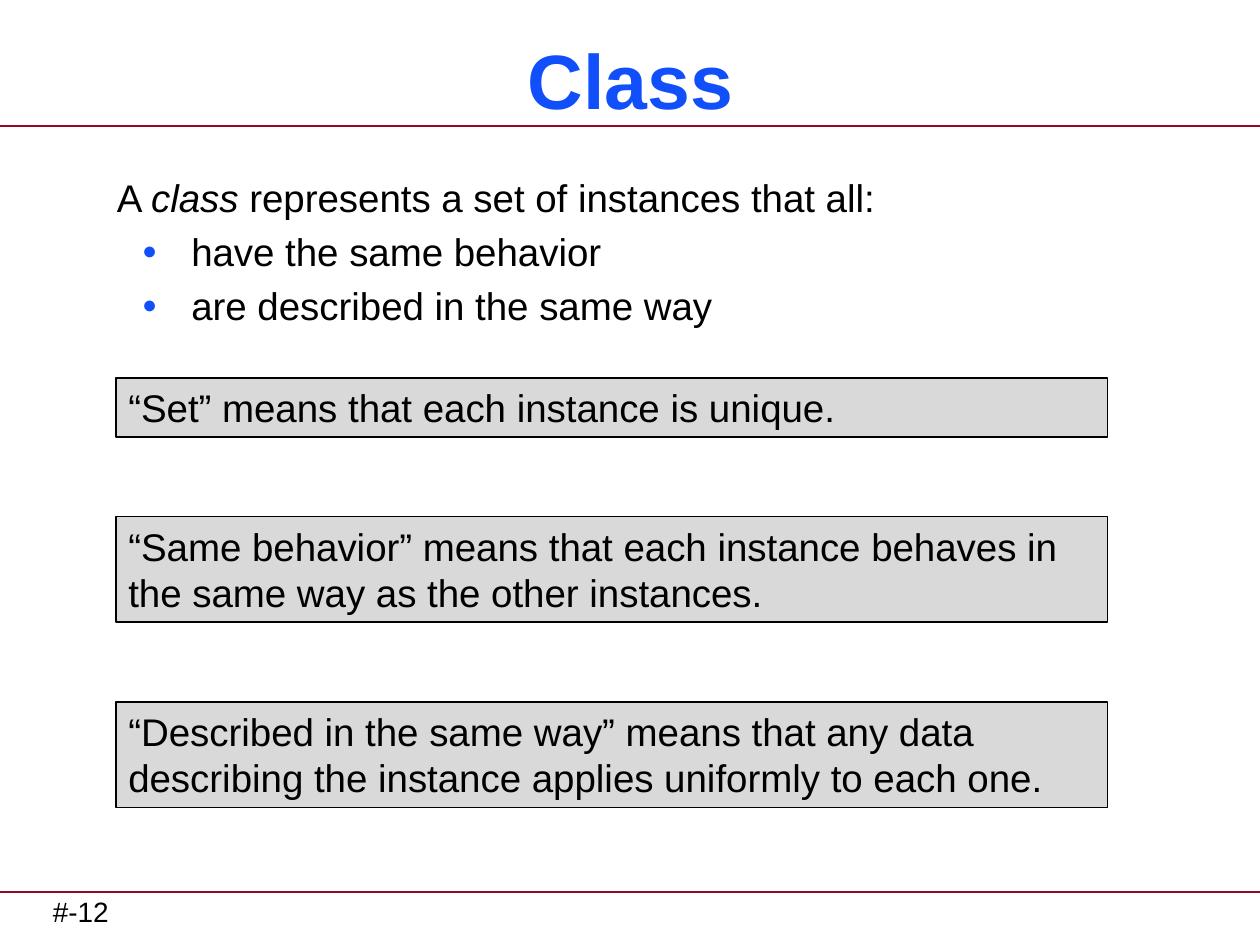
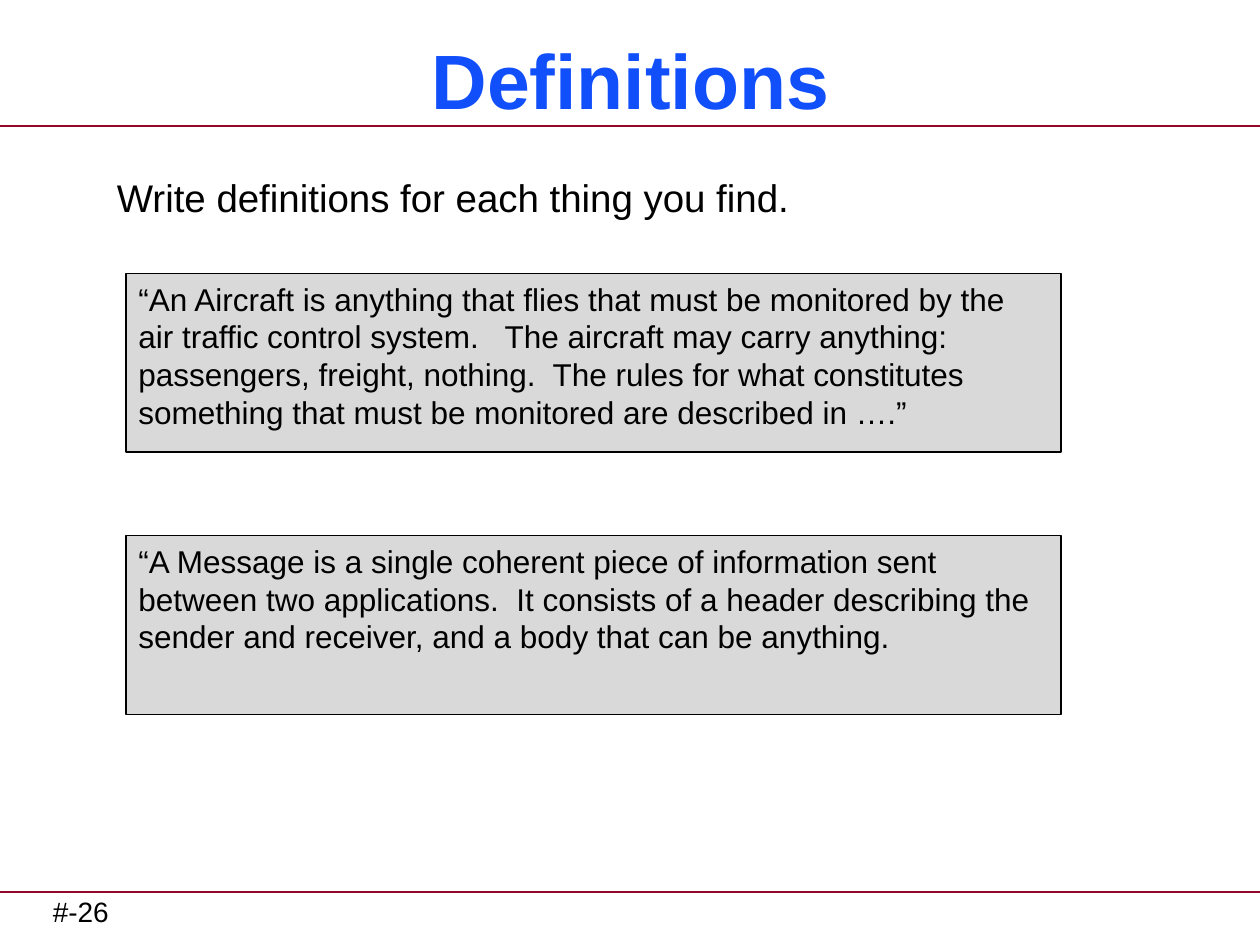
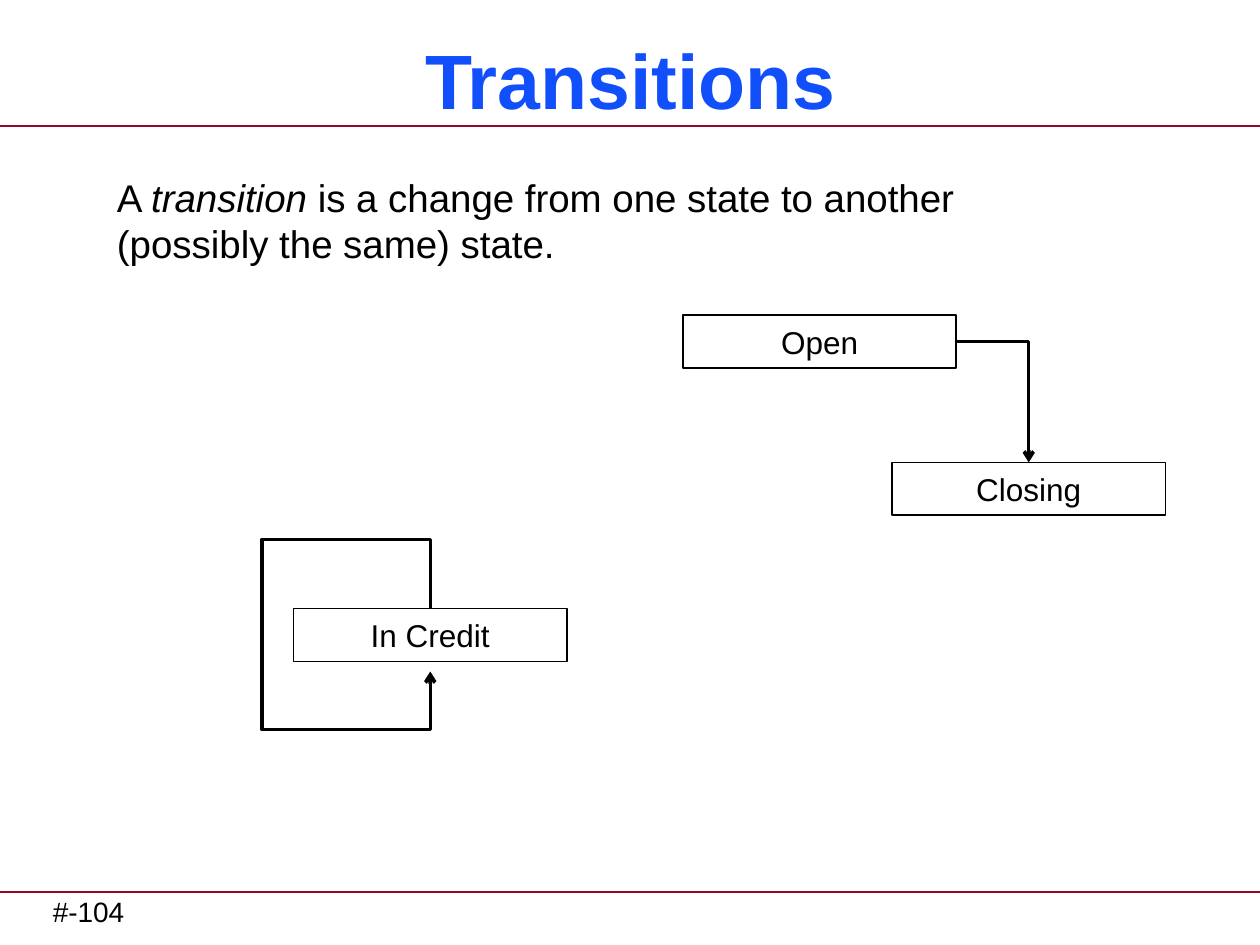
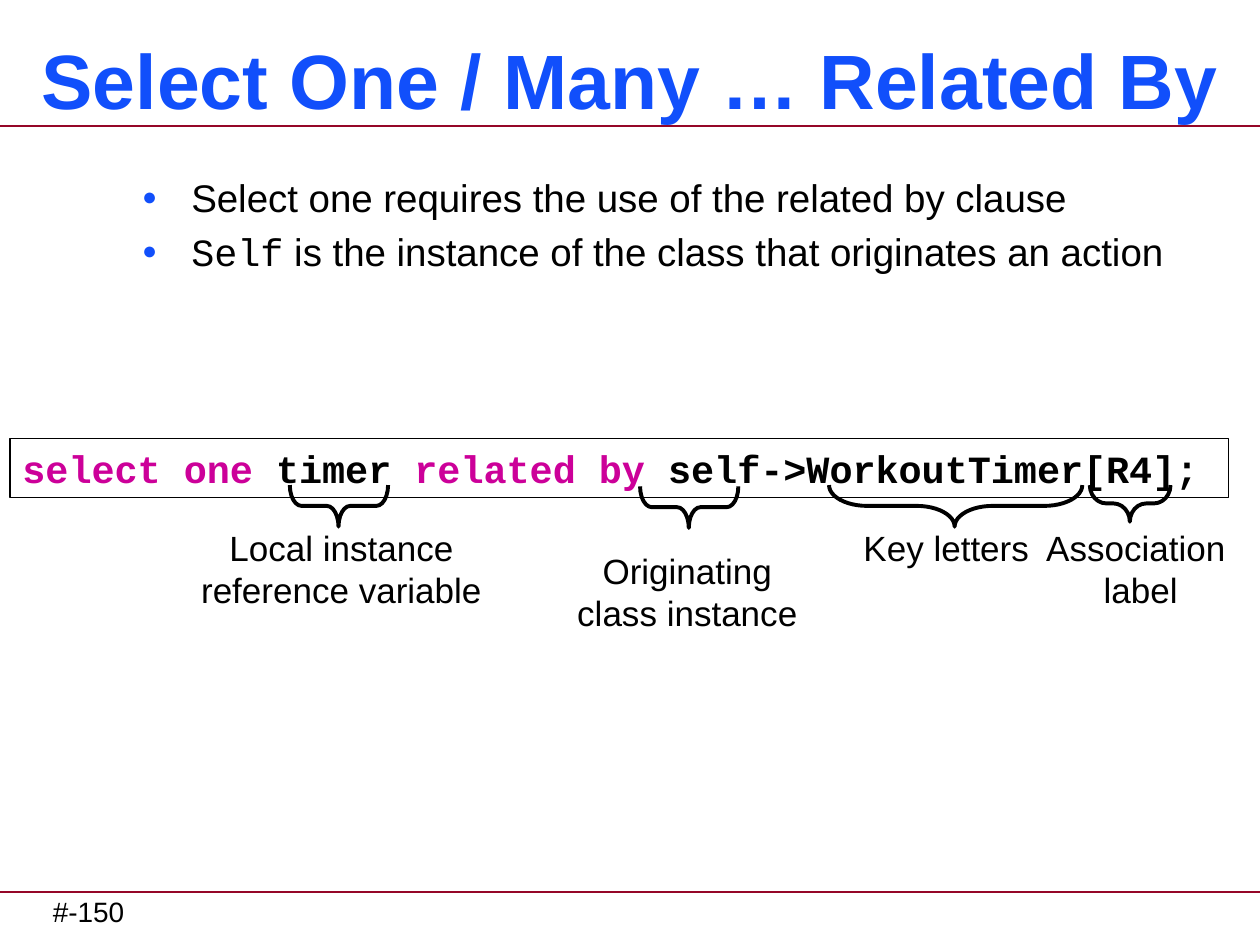
import pptx
import pptx.util
import pptx.dml.color
import pptx.enum.shapes
import pptx.enum.text
import pptx.oxml
import pptx.oxml.ns

Inches, Pt = pptx.util.Inches, pptx.util.Pt
RGBColor = pptx.dml.color.RGBColor
SHAPE = pptx.enum.shapes.MSO_SHAPE
CONNECTOR = pptx.enum.shapes.MSO_CONNECTOR
ALIGN = pptx.enum.text.PP_ALIGN
ANCHOR = pptx.enum.text.MSO_ANCHOR

BLACK = RGBColor(0x00, 0x00, 0x00)
BLUE = RGBColor(0x11, 0x4F, 0xFB)
CRIMSON = RGBColor(0x95, 0x07, 0x28)
MAGENTA = RGBColor(0xCC, 0x00, 0x99)
SANS, MONO = "Arial", "Courier New"

# A run is plain text or (text, format); a paragraph is a list of runs.
ITALIC = {"italic": True}
KEYWORD = {"color": MAGENTA}

CLASS = {
    "title": "Class", "number": 12,
    "lead": [["A ", ("class ", ITALIC), "represents a set of instances that all:"]],
    "bullets": [["have the same behavior"], ["are described in the same way"]],
}
CLASS_NOTES = [  # top, height, text
    (3, 0.47, "“Set” means that each instance is unique."),
    (4.1, 0.84, "“Same behavior” means that each instance behaves in the same way "
                "as the other instances."),
    (5.57, 0.84, "“Described in the same way” means that any data describing the "
                 "instance applies uniformly to each one."),
]

DEFINITIONS = {
    "title": "Definitions", "number": 26,
    "lead": [["Write definitions for each thing you find."]],
}
DEFINITION_NOTES = [
    "“An Aircraft is anything that flies that must be monitored by the air traffic "
    "control system.   The aircraft may carry anything: passengers, freight, nothing.  "
    "The rules for what constitutes something that must be monitored are described in ….”",
    "“A Message is a single coherent piece of information sent between two "
    "applications.  It consists of a header describing the sender and receiver, and a "
    "body that can be anything.",
]

TRANSITIONS = {
    "title": "Transitions", "number": 104, "body_width": 7.25,
    "lead": [["A ", ("transition ", ITALIC),
              "is a change from one state to another (possibly the same) state."]],
}
STATES = {"Open": (5.42, 2.5), "Closing": (7.08, 3.67), "In Credit": (2.33, 4.83)}
STATE_WIDTH, STATE_HEIGHT = 2.17, 0.42

SELECT = {
    "title": "Select One / Many … Related By", "number": 150,
    "bullets": [
        ["Select one requires the use of the related by clause"],
        [("Self", {"font": MONO}),
         " is the instance of the class that originates an action"],
    ],
}
STATEMENT = [("select one ", KEYWORD), "timer ", ("related by ", KEYWORD),
             "self->WorkoutTimer[R4];"]
CLAUSES = [  # label, label box, brace (left, top, length, depth), brace curl
    ("Key letters", (6.72, 4.13, 1.58, 0.43), (6.58, 3.85, 2.01, 0.33), 0.916),
    ("Local instance reference variable", (1.49, 4.13, 2.44, 0.77),
     (2.3, 3.85, 0.78, 0.33), 0.282),
    ("Association\n label", (8.2, 4.13, 1.63, 0.77), (8.65, 3.85, 0.64, 0.29), 0.453),
    ("Originating class instance", (4.41, 4.31, 2.09, 0.77),
     (5.08, 3.86, 0.78, 0.33), 0.282),
]


def add_xml(parent, tag, **attributes):
    child = pptx.oxml.parse_xml(f"<a:{tag} {pptx.oxml.ns.nsdecls('a')}/>")
    for key, value in attributes.items():
        child.set(key, str(value))
    parent.append(child)
    return child


def add_bullet(paragraph):
    properties = paragraph._p.get_or_add_pPr()
    properties.set("marL", str(Inches(0.59)))
    properties.set("indent", str(Inches(-0.39)))
    add_xml(add_xml(properties, "buClr"), "srgbClr", val=BLUE)
    add_xml(properties, "buSzPct", val=65000)
    add_xml(properties, "buFont", typeface=SANS)
    add_xml(properties, "buChar", char="●")


def write(shape, paragraphs, size=22, font=SANS, color=BLACK, bold=False, italic=False,
          align=ALIGN.LEFT, anchor=ANCHOR.TOP, side_inset=0.1, bullets_from=None):
    """Fill a shape with paragraphs; those from index bullets_from on get bullets."""
    frame = shape.text_frame
    frame.word_wrap = True
    frame.vertical_anchor = anchor
    frame.margin_left = frame.margin_right = Inches(side_inset)
    frame.margin_top = frame.margin_bottom = Inches(0.05)
    for index, runs in enumerate(paragraphs):
        paragraph = frame.add_paragraph() if index else frame.paragraphs[0]
        paragraph.alignment = align
        if index:
            paragraph.space_before = Pt(size * 0.2)
        if bullets_from is not None and index >= bullets_from:
            add_bullet(paragraph)
        for run_content in runs:
            text, own = (run_content, {}) if isinstance(run_content, str) else run_content
            for line_index, line in enumerate(text.split("\n")):
                if line_index:
                    paragraph.add_line_break()
                run = paragraph.add_run()
                run.text = line
                run.font.size = Pt(size)
                run.font.name = own.get("font", font)
                run.font.bold = bold
                run.font.italic = own.get("italic", italic)
                run.font.color.rgb = own.get("color", color)


def add_text(slide, box, paragraphs, **text_format):
    write(slide.shapes.add_textbox(*map(Inches, box)), paragraphs, **text_format)


def add_outlined(slide, kind, box, weight=1, shade=None):
    """Add a shape with a black line, and black fill at shade percent opacity."""
    shape = slide.shapes.add_shape(kind, *map(Inches, box))
    shape.shadow.inherit = False
    shape.line.color.rgb = BLACK
    shape.line.width = Pt(weight)
    if shade:
        shape.fill.solid()
        shape.fill.fore_color.rgb = BLACK
        fill_color = shape.fill._xPr.find(".//" + pptx.oxml.ns.qn("a:srgbClr"))
        add_xml(fill_color, "alpha", val=shade * 1000)
    else:
        shape.fill.background()
    return shape


def add_note(slide, box, text, size):
    write(add_outlined(slide, SHAPE.RECTANGLE, box, shade=15), [[text]], size=size)


def add_connector(slide, kind, start, end, color, weight):
    connector = slide.shapes.add_connector(kind, *map(Inches, (*start, *end)))
    connector.line.color.rgb = color
    connector.line.width = Pt(weight)
    add_xml(connector._element.spPr, "effectLst")
    return connector


def add_arrowhead(line):
    add_xml(line.line._get_or_add_ln(), "tailEnd", type="arrow")


def start_slide(deck, content):
    slide = deck.slides.add_slide(deck.slide_layouts[6])
    for y in (1, 7.08):
        add_connector(slide, CONNECTOR.STRAIGHT, (0, y), (10, y), CRIMSON, 1.5)
    add_text(slide, (0.42, 7.05, 4.83, 0.37), [[f"#-{content['number']}"]],
             size=16, side_inset=0)
    add_text(slide, (0.17, 0.25, 9.67, 0.75), [[content["title"]]], size=44,
             color=BLUE, bold=True, align=ALIGN.CENTER, anchor=ANCHOR.MIDDLE)
    lead = content.get("lead", [])
    add_text(slide, (0.83, 1.33, content.get("body_width", 8.83), 5.58),
             lead + content.get("bullets", []), bullets_from=len(lead))
    return slide


def build_class(deck):
    slide = start_slide(deck, CLASS)
    for top, height, text in CLASS_NOTES:
        add_note(slide, (0.92, top, 7.87, height), text, 22)


def build_definitions(deck):
    slide = start_slide(deck, DEFINITIONS)
    for index, text in enumerate(DEFINITION_NOTES):
        add_note(slide, (1, 2.17 + index * 2.08, 7.42, 1.42), text, 18)


def build_transitions(deck):
    slide = start_slide(deck, TRANSITIONS)
    for state, corner in STATES.items():
        box = add_outlined(slide, SHAPE.RECTANGLE, (*corner, STATE_WIDTH, STATE_HEIGHT))
        write(box, [[state]], size=18, align=ALIGN.CENTER, anchor=ANCHOR.MIDDLE)

    open_left, open_top = STATES["Open"]
    closing_left, closing_top = STATES["Closing"]
    closing = add_connector(
        slide, CONNECTOR.ELBOW,
        (open_left + STATE_WIDTH, open_top + STATE_HEIGHT / 2),
        (closing_left + STATE_WIDTH / 2, closing_top), BLACK, 2)
    closing._element.spPr.prstGeom.set("prst", "bentConnector2")
    add_arrowhead(closing)

    credit_left, credit_top = STATES["In Credit"]
    middle = credit_left + STATE_WIDTH / 2
    loop_left, loop_top, loop_bottom = credit_left - 0.12, credit_top - 0.55, 5.79
    loop_left -= 0.13
    route = [(middle, loop_top), (loop_left, loop_top), (loop_left, loop_bottom),
             (middle, loop_bottom), (middle, credit_top + 0.5)]
    outline = slide.shapes.build_freeform(Inches(middle), Inches(credit_top))
    outline.add_line_segments([(Inches(x), Inches(y)) for x, y in route], close=False)
    loop = outline.convert_to_shape()
    loop.shadow.inherit = False
    loop.fill.background()
    loop.line.color.rgb = BLACK
    loop.line.width = Pt(2)
    add_arrowhead(loop)


def build_select(deck):
    slide = start_slide(deck, SELECT)
    statement = add_outlined(slide, SHAPE.RECTANGLE, (0.08, 3.48, 9.67, 0.47), weight=0.75)
    write(statement, [STATEMENT], font=MONO, bold=True)
    for label, label_box, (left, top, length, depth), curl in CLAUSES:
        add_text(slide, label_box, [[label]], size=20, align=ALIGN.CENTER)
        # The brace is turned about its centre, so its upright box is placed there.
        upright = (left + (length - depth) / 2, top + (depth - length) / 2, depth, length)
        brace = add_outlined(slide, SHAPE.LEFT_BRACE, upright, weight=2.25)
        brace.rotation = 270
        brace.adjustments[0] = curl
        brace.adjustments[1] = 0.496


def main():
    deck = pptx.Presentation()
    deck.slide_width, deck.slide_height = Inches(10), Inches(7.5)
    for build in (build_class, build_definitions, build_transitions, build_select):
        build(deck)
    deck.save("out.pptx")


if __name__ == "__main__":
    main()
